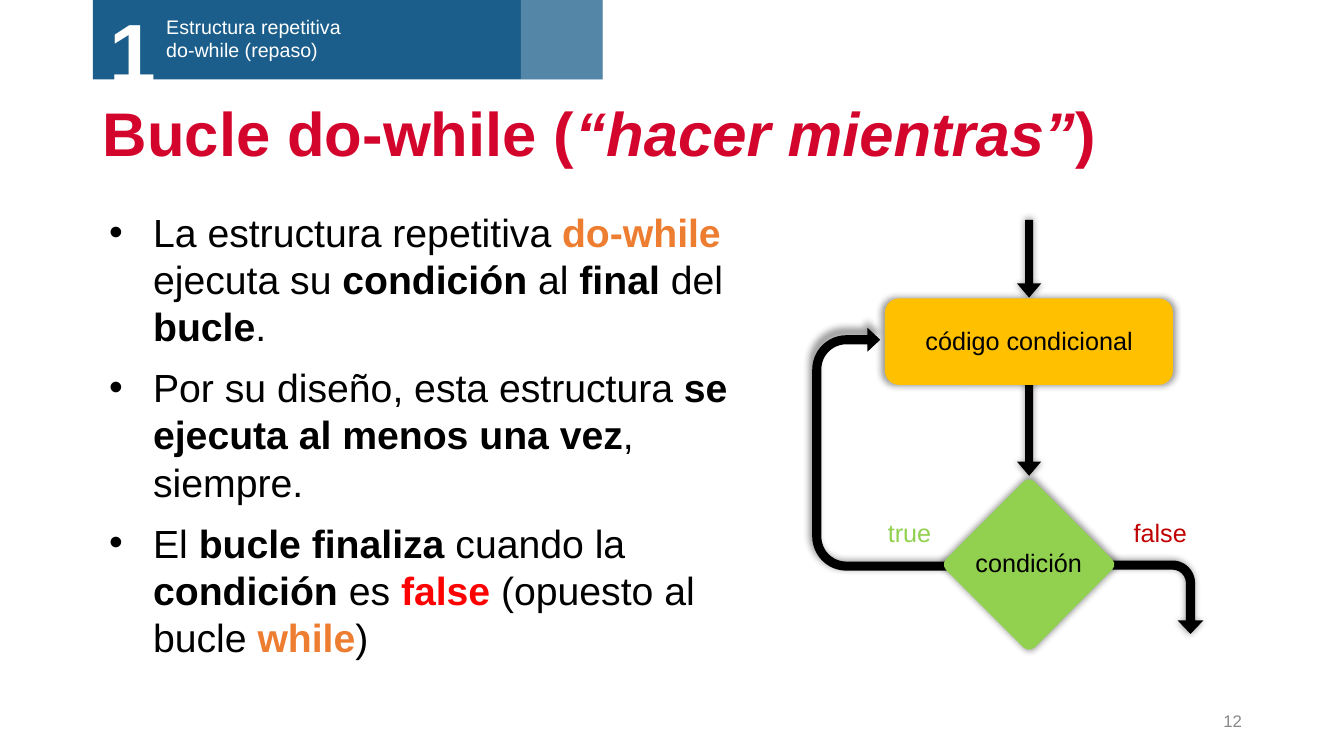
from lxml import etree
from pptx import Presentation
from pptx.dml.color import RGBColor
from pptx.enum.shapes import MSO_SHAPE
from pptx.enum.text import MSO_ANCHOR, MSO_AUTO_SIZE, PP_ALIGN
from pptx.oxml.ns import qn
from pptx.util import Cm, Pt

RECT, ROUND = MSO_SHAPE.RECTANGLE, MSO_SHAPE.ROUNDED_RECTANGLE
DOWN, BENT, UTURN = MSO_SHAPE.DOWN_ARROW, MSO_SHAPE.BENT_ARROW, MSO_SHAPE.U_TURN_ARROW
TOP, MIDDLE = MSO_ANCHOR.TOP, MSO_ANCHOR.MIDDLE
LEFT, CENTER, RIGHT = PP_ALIGN.LEFT, PP_ALIGN.CENTER, PP_ALIGN.RIGHT
NO_FIT = MSO_AUTO_SIZE.NONE

COLORS = {
    "title": "D3052C", "black": "000000", "white": "FFFFFF", "grey": "888888",
    "keyword": "ED7D31", "red": "FF0000", "banner": "1B5E8B",
    "code": "FFC000", "true": "92D050", "false": "C00000",
}


def add_text(p, text, size=18, color="black", bold=False, italic=False):
    for i, line in enumerate(text.split("\n")):
        if i:
            p.add_line_break()
        r = p.add_run()
        r.text = line
        r.font.name = "Arial"
        r.font.size = Pt(size)
        r.font.bold = bold
        r.font.italic = italic
        r.font.color.rgb = RGBColor.from_string(COLORS[color])


class SlideBuilder:
    def __init__(self, prs):
        self.s = prs.slides.add_slide(prs.slide_layouts[6])

    def shape(self, kind, box, color, adj=(), rotation=0, alpha=None, halo=False):
        sp = self.s.shapes.add_shape(kind, *map(Cm, box))
        sp.shadow.inherit = False
        sp.fill.solid()
        sp.fill.fore_color.rgb = RGBColor.from_string(COLORS[color])
        sp.line.fill.background()
        sp.rotation = rotation
        for i, value in enumerate(adj):
            sp.adjustments[i] = value
        if alpha:
            clr = sp._element.spPr.find(".//" + qn("a:srgbClr"))
            etree.SubElement(clr, qn("a:alpha"), val=str(alpha * 1000))
        if halo:
            effects = sp._element.spPr.find(qn("a:effectLst"))
            shadow = etree.SubElement(effects, qn("a:outerShdw"), blurRad="63500",
                                      sx="102000", sy="102000", algn="ctr", rotWithShape="0")
            clr = etree.SubElement(shadow, qn("a:srgbClr"), val=COLORS["black"])
            etree.SubElement(clr, qn("a:alpha"), val="40000")

    def text(self, box, paragraphs, anchor=TOP, align=LEFT, wrap=True,
             spacing=None, bullets=False):
        tf = self.s.shapes.add_textbox(*map(Cm, box)).text_frame
        tf.auto_size = NO_FIT
        tf.word_wrap = wrap
        tf.vertical_anchor = anchor
        for i, runs in enumerate(paragraphs):
            p = tf.add_paragraph() if i else tf.paragraphs[0]
            p.alignment = align
            if spacing:
                p.line_spacing = spacing
            if bullets:
                self.bullet(p)
            for text, style in runs:
                add_text(p, text, **style)

    def bullet(self, p):
        p.space_before = Pt(10)
        pPr = p._p.get_or_add_pPr()
        pPr.set("marL", str(Cm(1.27)))
        pPr.set("indent", str(-Cm(1.11)))
        clr = etree.SubElement(pPr, qn("a:buClr"))
        etree.SubElement(clr, qn("a:srgbClr"), val=COLORS["black"])
        etree.SubElement(pPr, qn("a:buFont"), typeface="Arial")
        etree.SubElement(pPr, qn("a:buChar"), char="•")

    def label(self, box, text, align=LEFT, wrap=True, **style):
        self.text(box, [[(text, style)]], align=align, wrap=wrap)


def add_header(slide):
    slide.shape(RECT, (2.34, -0.03, 12.85, 2.03), "banner")
    slide.label((3.94, 0.25, 6.99, 1.45), "Estructura repetitiva \ndo-while (repaso)",
                size=14, color="white")
    slide.label((2.51, -0.13, 2.84, 2.82), "1", size=60, color="white", bold=True)
    slide.shape(RECT, (13.13, -0.03, 2.06, 2.03), "white", alpha=25)
    title = {"size": 44, "color": "title", "bold": True}
    slide.text((2.34, 2.36, 29.21, 2.18), [[
        ("Bucle do-while (", title),
        ("“hacer mientras”", {**title, "italic": True}),
        (")", title),
    ]], anchor=MIDDLE, spacing=0.9)


def add_body(slide):
    plain = {"size": 28}
    bold = {**plain, "bold": True}
    keyword = {**bold, "color": "keyword"}
    slide.text((2.34, 5.13, 17.2, 12.14), [
        [("La estructura repetitiva ", plain), ("do-while", keyword),
         (" ejecuta su ", plain), ("condición", bold), (" al ", plain),
         ("final", bold), (" del ", plain), ("bucle", bold), (".", plain)],
        [("Por su diseño, esta estructura ", plain),
         ("se ejecuta al menos una vez", bold), (", siempre.", plain)],
        [("El ", plain), ("bucle finaliza", bold), (" cuando la ", plain),
         ("condición", bold), (" es ", plain), ("false", {**bold, "color": "red"}),
         (" (opuesto al bucle ", plain), ("while", keyword), (")", plain)],
    ], bullets=True)


def add_flowchart(slide):
    slide.shape(UTURN, (20.14, 8.59, 6.12, 5.46), "black",
                (0.042, 0.055, 0.059, 0.158, 0.314), 270, halo=True)
    slide.shape(BENT, (28.17, 13.82, 1.85, 2.46), "black",
                (0.125, 0.175, 0.183, 0.308), 90, halo=True)
    for top, height in ((5.54, 1.96), (9.6, 2.39)):
        slide.shape(DOWN, (25.63, top, 0.61, height), "black", (0.333, 0.584), halo=True)
    slide.shape(ROUND, (24.36, 12.65, 3.15, 3.15), "true", (0.061,), 315, halo=True)
    slide.shape(ROUND, (22.3, 7.52, 7.26, 2.18), "code", halo=True)
    slide.label((24.31, 13.67, 3.23, 1.02), "condición", CENTER, False)
    slide.label((23.04, 8.08, 5.79, 1.02), "código condicional", CENTER, False)
    slide.label((22.07, 12.9, 1.65, 1.02), "true", RIGHT, False, color="true")
    slide.label((28.32, 12.9, 2.29, 1.02), "false", color="false")


def main():
    prs = Presentation()
    prs.slide_width, prs.slide_height = Cm(33.87), Cm(19.05)
    slide = SlideBuilder(prs)
    add_header(slide)
    add_body(slide)
    add_flowchart(slide)
    slide.text((23.93, 17.65, 7.62, 1.02),
               [[("12", {"size": 12, "color": "grey"})]], anchor=MIDDLE, align=RIGHT)
    prs.save("out.pptx")


if __name__ == "__main__":
    main()
